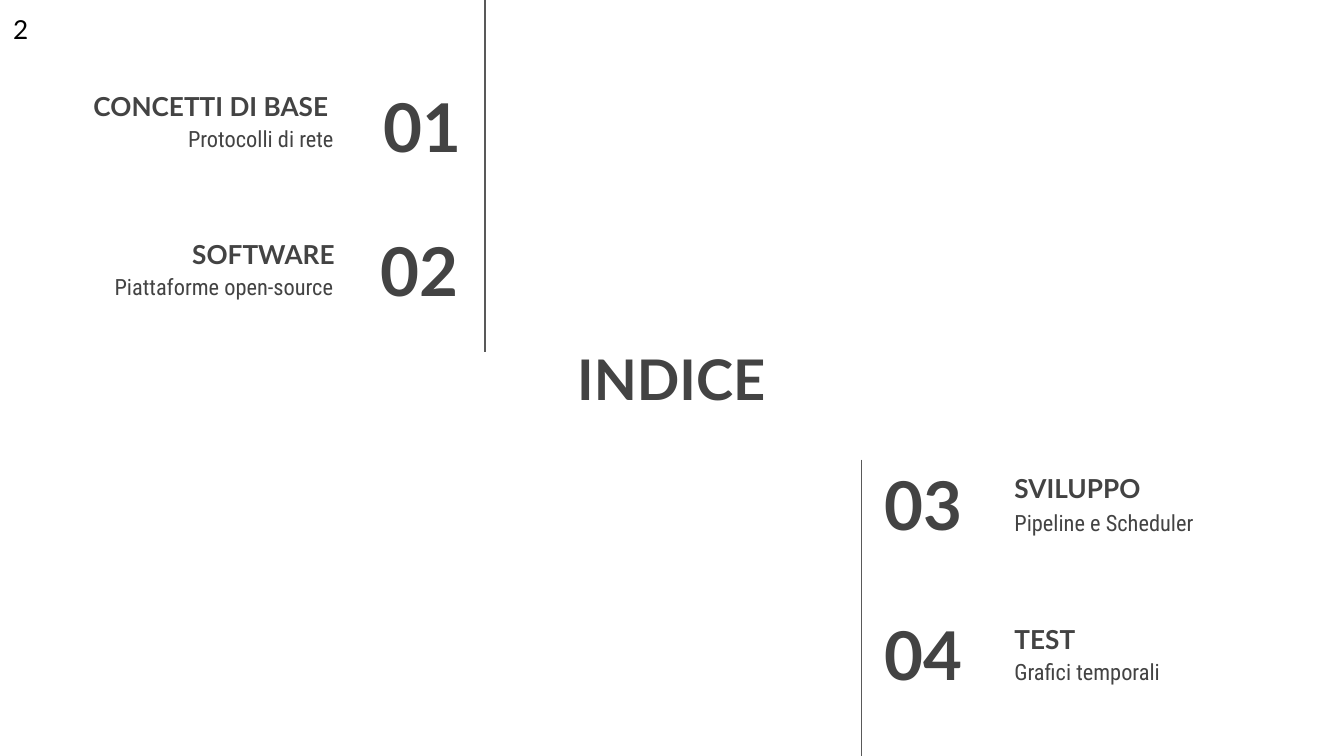
import pptx
import pptx.dml.color
import pptx.enum.shapes
import pptx.enum.text
import pptx.oxml.ns
import pptx.util
from lxml import etree
from pptx.util import Inches

ALIGN = pptx.enum.text.PP_ALIGN
ANCHOR = pptx.enum.text.MSO_ANCHOR
HEADING_FONT = "Lato"
BODY_FONT = "Roboto Condensed"
DARK = "434343"
ENTRY_HEIGHT = 0.63

# Each part of an entry: text, left, top
LEFT_ENTRIES = [
    (("01", 2.32, 0.62), ("CONCETTI DI BASE ", 0.43, 0.38), ("Protocolli di rete ", 0.79, 0.83)),
    (("02", 2.3, 1.69), ("SOFTWARE", 0.43, 1.48), ("Piattaforme open-source", 0.75, 1.93)),
]
RIGHT_ENTRIES = [
    (("03", 6.48, 3.43), ("SVILUPPO", 7.45, 3.22), ("Pipeline e Scheduler", 7.45, 3.69)),
    (("04", 6.48, 4.55), ("TEST", 7.45, 4.34), ("Grafici temporali", 7.45, 4.8)),
]


def rgb(color):
    return pptx.dml.color.RGBColor.from_string(color)


def format_text(box, text, size, font=HEADING_FONT, color=DARK, bold=False,
                align=ALIGN.LEFT, anchor=ANCHOR.TOP, inset=0.1):
    frame = box.text_frame
    frame.word_wrap = True
    frame.auto_size = pptx.enum.text.MSO_AUTO_SIZE.NONE
    frame.vertical_anchor = anchor
    frame.margin_left = frame.margin_right = Inches(0.1)
    frame.margin_top = frame.margin_bottom = Inches(inset)
    frame.text = text
    paragraph = frame.paragraphs[0]
    paragraph.alignment = align
    paragraph.font.name = font
    paragraph.font.size = pptx.util.Pt(size)
    paragraph.font.bold = bold
    paragraph.font.color.rgb = rgb(color)


def add_text(slide, text, left, top, width, height, size, **style):
    box = slide.shapes.add_textbox(Inches(left), Inches(top), Inches(width), Inches(height))
    format_text(box, text, size, **style)


def set_title(slide, text):
    title = slide.shapes.title
    title.left, title.top = Inches(3.7), Inches(2.3)
    title.width, title.height = Inches(2.59), Inches(1.03)
    format_text(title, text, 30, bold=True, align=ALIGN.CENTER, anchor=ANCHOR.MIDDLE)


def add_entry(slide, number, heading, topic, number_width, align):
    add_text(slide, *number, number_width, ENTRY_HEIGHT, 36,
             bold=True, align=align, anchor=ANCHOR.MIDDLE)
    add_text(slide, *heading, 2.16, ENTRY_HEIGHT, 14,
             bold=True, align=align, anchor=ANCHOR.BOTTOM)
    add_text(slide, *topic, 1.83, ENTRY_HEIGHT, 12, font=BODY_FONT, align=align)


def add_vertical_rule(slide, x, top, bottom):
    rule = slide.shapes.add_connector(
        pptx.enum.shapes.MSO_CONNECTOR.STRAIGHT,
        Inches(x), Inches(top), Inches(x), Inches(bottom))
    rule.line.color.rgb = rgb("595959")
    rule.line.width = pptx.util.Pt(0.75)
    properties = rule.element.find(pptx.oxml.ns.qn("p:spPr"))
    etree.SubElement(properties, pptx.oxml.ns.qn("a:effectLst"))


def main():
    presentation = pptx.Presentation()
    presentation.slide_width = Inches(10)
    presentation.slide_height = Inches(10) * 9 // 16
    slide = presentation.slides.add_slide(presentation.slide_layouts.get_by_name("Title Only"))

    set_title(slide, "INDICE")
    for entry in LEFT_ENTRIES:
        add_entry(slide, *entry, 1.21, ALIGN.RIGHT)
    for entry in RIGHT_ENTRIES:
        add_entry(slide, *entry, 1.17, ALIGN.LEFT)
    add_vertical_rule(slide, 3.61, 0, 2.62)
    add_vertical_rule(slide, 6.41, 3.42, 5.64)
    add_text(slide, "2", 0, 0.05, 0.26, 0.34, 14, color="000000", inset=0.05)

    presentation.save("out.pptx")


if __name__ == "__main__":
    main()
